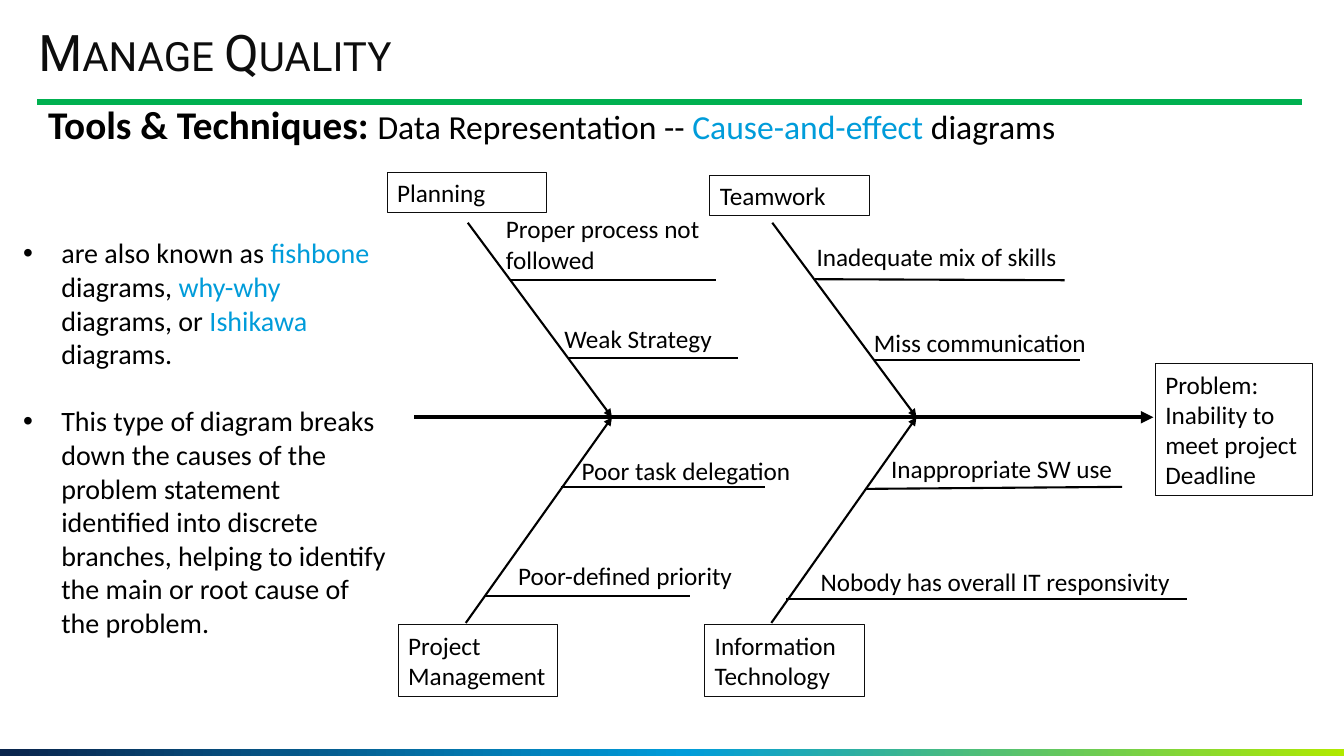
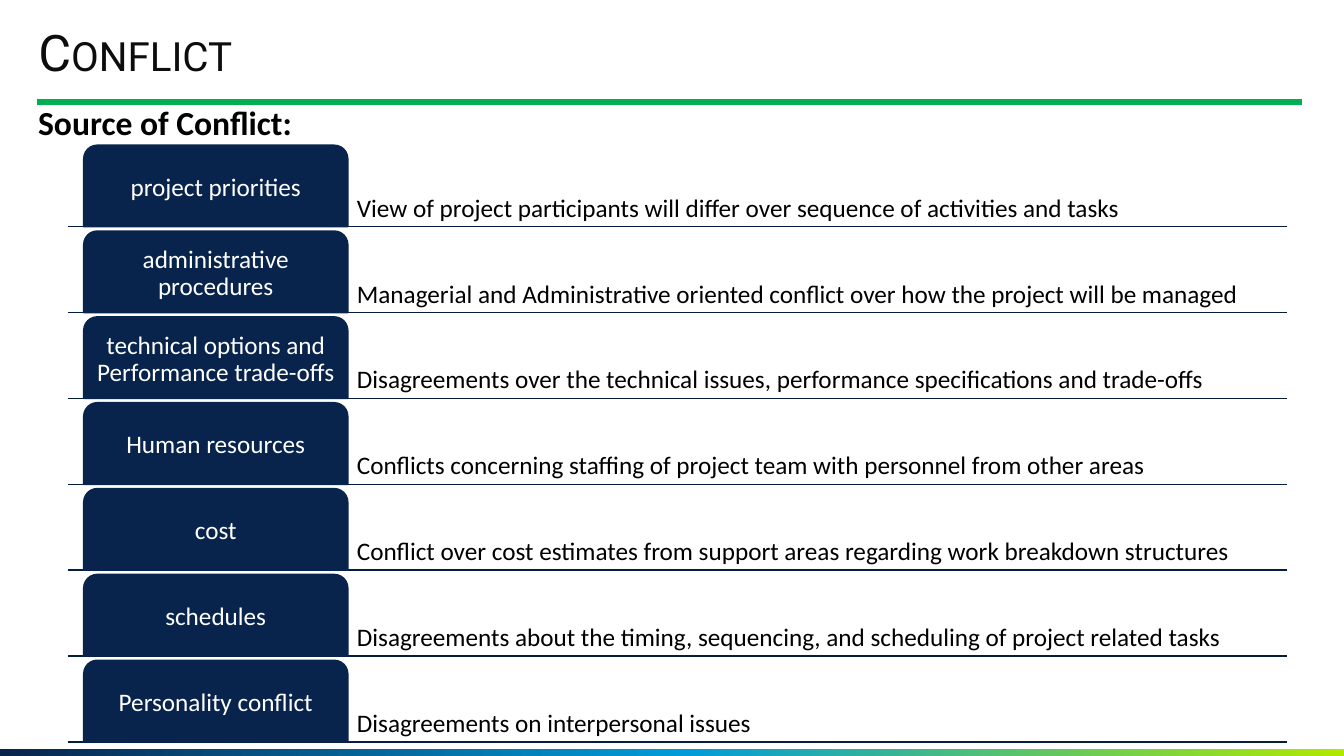
from copy import deepcopy

from pptx import Presentation
from pptx.dml.color import RGBColor
from pptx.enum.shapes import MSO_CONNECTOR, MSO_SHAPE
from pptx.enum.text import MSO_ANCHOR as Anchor, MSO_AUTO_SIZE, PP_ALIGN as Align
from pptx.oxml.ns import qn
from pptx.util import Inches, Pt

COLORS = {
    "text": "000000", "title": "0D0D0D", "accent": "009CDA", "rule": "00B050",
    "navy": "09244C", "row_line": "071D3D", "lime": "B0E900", "white": "FFFFFF",
}
BAND_STOPS = [("navy", 0), ("accent", 0.51), ("lime", 1)]
BODY_FONT, TITLE_FONT = "Calibri", "Roboto"

QUALITY_HEADING = [
    ("Tools & Techniques: ", "text"), ("Data Representation -- ", "text"),
    ("Cause-and-effect", "accent"), (" diagrams", "text"),
]
QUALITY_BULLETS = [
    [("are also known as ", "text"), ("fishbone", "accent"), (" diagrams,", "text"),
     (" why-why ", "accent"), ("diagrams, or ", "text"), ("Ishikawa", "accent"),
     (" diagrams.", "text")],
    "This type of diagram breaks down the causes of the problem statement identified "
    "into discrete branches, helping to identify the main or root cause of the problem.",
]
PROBLEM = ["Problem:", "Inability to meet project Deadline"]
SPINE_Y = 4.14
# Each cause: text, text box (left, top, width, height), line start, line end
BONES = [
    {"name": "Planning", "box": (3.84, 1.71, 1.58, 0.4),
     "start": (4.64, 2.21), "joint": 6.07, "causes": [
         ("Proper process not followed", (4.92, 2.07, 2.56, 0.71), (5.07, 2.78), (7.1, 2.78)),
         ("Weak Strategy", (5.5, 3.16, 2.56, 0.4), (5.64, 3.55), (7.32, 3.55))]},
    {"name": "Teamwork", "box": (7.04, 1.74, 1.58, 0.4),
     "start": (7.66, 2.21), "joint": 9.09, "causes": [
         ("Inadequate mix of skills", (8, 2.34, 2.71, 0.4), (8.08, 2.77), (10.56, 2.78)),
         ("Miss communication", (8.57, 3.2, 2.56, 0.4), (8.67, 3.57), (10.71, 3.57))]},
    {"name": "Project Management", "box": (3.95, 6.2, 1.58, 0.71),
     "start": (4.62, 6.18), "joint": 6.07, "causes": [
         ("Poor task delegation", (5.67, 4.47, 2.71, 0.4), (5.56, 4.83), (7.59, 4.83)),
         ("Poor-defined priority", (5.04, 5.51, 2.56, 0.4), (4.81, 5.91), (6.84, 5.91))]},
    {"name": "Information Technology", "box": (6.99, 6.2, 1.58, 0.71),
     "start": (7.65, 6.18), "joint": 9.09, "causes": [
         ("Inappropriate SW use", (8.74, 4.45, 2.71, 0.4), (8.58, 4.85), (11.13, 4.83)),
         ("Nobody has overall IT responsivity", (8.04, 5.57, 4.43, 0.4),
          (7.8, 5.94), (11.77, 5.94))]},
]

CONFLICTS = [
    ("project priorities",
     "View of project participants will differ over sequence of activities and tasks"),
    ("administrative procedures",
     "Managerial and Administrative oriented conflict over how the project will be managed"),
    ("technical options and\nPerformance trade-offs",
     "Disagreements over the technical issues, performance specifications and trade-offs"),
    ("Human resources",
     "Conflicts concerning staffing of project team with personnel from other areas"),
    ("cost",
     "Conflict over cost estimates from support areas regarding work breakdown structures"),
    ("schedules",
     "Disagreements about the timing, sequencing, and scheduling of project related tasks"),
    ("Personality conflict", "Disagreements on interpersonal issues"),
]
FIRST_LINE_Y, LAST_LINE_Y, ROW_HEIGHT = 2.25, 7.36, 0.81


def rgb(name):
    return RGBColor.from_string(COLORS[name])


def inches(values):
    return [Inches(value) for value in values]


def add_line(page, start, end, color="text", width=1.5, arrow=False):
    line = page.shapes.add_connector(MSO_CONNECTOR.STRAIGHT, *inches(start + end))
    line.line.color.rgb = rgb(color)
    line.line.width = Pt(width)
    properties = line._element.spPr
    if arrow:
        tail = line.line._get_or_add_ln().makeelement(qn("a:tailEnd"), {"type": "triangle"})
        line.line._get_or_add_ln().append(tail)
    properties.append(properties.makeelement(qn("a:effectLst"), {}))


def style(para, size, color="text", font=BODY_FONT, bold=False):
    para.font.name = font
    para.font.size = Pt(size)
    para.font.bold = bold
    para.font.color.rgb = rgb(color)


def write(frame, paragraphs, size, color="text", bold=False, bullets=False,
          spacing=None, gap=0, align=Align.LEFT):
    """Fill a frame; a paragraph is a string or a list of (text, colour) spans."""
    frame.word_wrap = True
    for index, content in enumerate(paragraphs):
        para = frame.paragraphs[0] if index == 0 else frame.add_paragraph()
        para.alignment = align
        if spacing:
            para.line_spacing = spacing
        if index and gap:
            para.space_before = Pt(gap)
        if bullets:
            properties = para._p.get_or_add_pPr()
            properties.set("marL", str(Inches(0.38)))
            properties.set("indent", str(-Inches(0.38)))
            for tag, attributes in (("a:buFont", {"typeface": "Arial"}),
                                    ("a:buChar", {"char": "•"})):
                properties.append(properties.makeelement(qn(tag), attributes))
        style(para, size, color, bold=bold)
        if isinstance(content, str):
            para.text = content
            continue
        for text, span_color in content:
            span = para.add_run()
            span.text = text
            span.font.color.rgb = rgb(span_color)


def add_text(page, area, paragraphs, size=18, outlined=False, **options):
    box = page.shapes.add_textbox(*inches(area))
    if outlined:
        box.line.color.rgb = rgb("title")
        box.line.width = Pt(0.75)
    write(box.text_frame, paragraphs, size, **options)
    return box


def set_insets(frame, inset, anchor):
    frame.margin_left = frame.margin_right = Inches(inset)
    frame.margin_top = frame.margin_bottom = Inches(inset)
    frame.vertical_anchor = anchor


def add_band(page):
    band = page.shapes.add_shape(MSO_SHAPE.RECTANGLE, *inches((0, 7.43, 13.33, 0.07)))
    band.shadow.inherit = False
    band.line.fill.background()
    band.fill.gradient()
    band.fill.gradient_angle = 0
    stop_list = band._element.spPr.find(".//" + qn("a:gsLst"))
    stop_list.insert(1, deepcopy(stop_list[0]))
    for stop, (color, position) in zip(band.fill.gradient_stops, BAND_STOPS):
        stop.color.rgb = rgb(color)
        stop.position = position


def new_page(deck, heading):
    page = deck.slides.add_slide(deck.slide_layouts[5])
    add_band(page)
    add_line(page, (0.37, 1.01), (12.91, 1.01), "rule", 4.5)
    title = page.shapes.title
    title.left, title.top, title.width, title.height = inches((0.38, 0.27, 11.19, 0.55))
    frame = title.text_frame
    frame.auto_size = MSO_AUTO_SIZE.NONE
    set_insets(frame, 0, Anchor.MIDDLE)
    para = frame.paragraphs[0]
    para.alignment = Align.LEFT
    para.line_spacing = 0.9
    style(para, 36, "title", TITLE_FONT)
    span = para.add_run()
    span.text = heading
    span._r.get_or_add_rPr().set("cap", "small")
    return page


def build_quality(deck):
    page = new_page(deck, "Manage Quality")
    heading = add_text(page, (0.38, 1, 12.53, 0.55), [QUALITY_HEADING], 24, spacing=0.9)
    lead = heading.text_frame.paragraphs[0].runs[0]
    lead.font.size = Pt(28)
    lead.font.bold = True
    add_text(page, (0.13, 2.29, 3.82, 4.14), QUALITY_BULLETS, 20, bullets=True, gap=24)

    add_line(page, (4.11, SPINE_Y), (11.44, SPINE_Y), width=3, arrow=True)
    add_text(page, (11.46, 3.61, 1.56, 1.31), PROBLEM, outlined=True)
    for bone in BONES:
        add_text(page, bone["box"], [bone["name"]], outlined=True)
        add_line(page, bone["start"], (bone["joint"], SPINE_Y), arrow=True)
        for text, area, start, end in bone["causes"]:
            add_text(page, area, [text])
            add_line(page, start, end)


def build_conflict(deck):
    page = new_page(deck, "Conflict")
    add_text(page, (0.28, 0.96, 12.63, 0.5), ["Source of Conflict:"], 24, bold=True)
    pitch = (LAST_LINE_Y - FIRST_LINE_Y) / (len(CONFLICTS) - 1)
    for index, (source, meaning) in enumerate(CONFLICTS):
        line_y = FIRST_LINE_Y + index * pitch
        top = line_y - ROW_HEIGHT
        add_line(page, (0.67, line_y), (12.76, line_y), "row_line", 1)
        detail = add_text(page, (3.5, top, 9.57, ROW_HEIGHT), [meaning], spacing=0.9)
        set_insets(detail.text_frame, 0.04, Anchor.BOTTOM)

        tab = page.shapes.add_shape(MSO_SHAPE.ROUND_2_SAME_RECTANGLE,
                                    *inches((0.83, top, 2.62, ROW_HEIGHT)))
        tab.shadow.inherit = False
        tab.fill.solid()
        tab.fill.fore_color.rgb = tab.line.color.rgb = rgb("navy")
        tab.line.width = Pt(1)
        write(tab.text_frame, [source], 18, "white", spacing=0.9, align=Align.CENTER)
        set_insets(tab.text_frame, 0.04, Anchor.MIDDLE)


def main():
    deck = Presentation()
    deck.slide_width, deck.slide_height = inches((13.33, 7.5))
    build_quality(deck)
    build_conflict(deck)
    deck.save("out.pptx")


if __name__ == "__main__":
    main()
